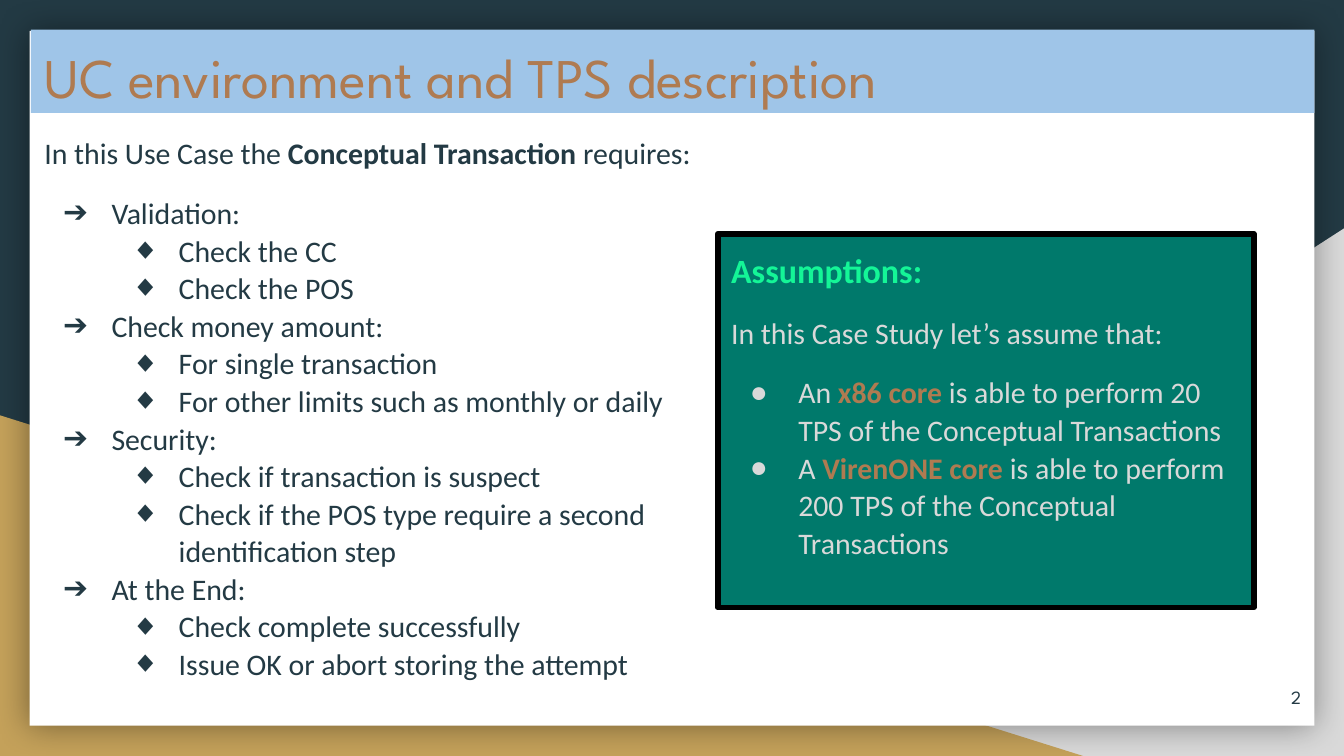
from lxml import etree
from pptx import Presentation, util as u
from pptx.dml.color import RGBColor
from pptx.enum import shapes, text
from pptx.oxml.ns import qn

COLUMNS, ROWS = 100, 56.25
INK, GOLD, GREY, BROWN = "233A44", "C4A15A", "D9D9D9", "AF7B51"
TITLE_FONT, BODY_FONT = "League Spartan", "Calibri"


def rgb(value):
    return RGBColor.from_string(value)


def add_xml(parent, tag, **attributes):
    return etree.SubElement(parent, qn(tag), attributes)


class SlideBuilder:
    """Holds the style and the current slide; places are in grid columns and rows."""

    def __init__(self, presentation):
        presentation.slide_width, presentation.slide_height = u.Inches(10), u.Inches(5.625)
        self.cell_width = presentation.slide_width / COLUMNS
        self.cell_height = presentation.slide_height / ROWS
        self.slide = presentation.slides.add_slide(presentation.slide_layouts[3])
        self.slide.background.fill.solid()
        self.slide.background.fill.fore_color.rgb = rgb(INK)

    def box(self, left, top, width, height):
        return [u.Emu(round(value)) for value in (
            left * self.cell_width, top * self.cell_height,
            width * self.cell_width, height * self.cell_height)]

    def paint(self, shape, color):
        shape.fill.solid()
        shape.fill.fore_color.rgb = rgb(color)

    def backdrop(self, kind, place, color, flip=False, glow=False):
        shape = self.slide.shapes.add_shape(kind, *self.box(*place))
        shape.shadow.inherit = False
        self.paint(shape, color)
        shape.line.fill.background()
        if flip:
            shape.element.spPr.find(qn("a:xfrm")).set("flipH", "1")
        if glow:
            effects = shape.element.spPr.find(qn("a:effectLst"))
            shadow = add_xml(effects, "a:outerShdw", blurRad=str(u.Pt(18)), dist="0",
                             dir="0", algn="ctr", rotWithShape="0")
            black = add_xml(shadow, "a:srgbClr", val="000000")
            add_xml(black, "a:alpha", val="40000")

    def frame(self, shape, anchor=text.MSO_ANCHOR.TOP):
        frame = shape.text_frame
        frame.word_wrap = True
        frame.auto_size = text.MSO_AUTO_SIZE.NONE
        frame.vertical_anchor = anchor
        frame.margin_left = frame.margin_right = u.Inches(0.1)
        frame.margin_top = frame.margin_bottom = u.Inches(0.1)
        return frame

    def placeholder(self, index, place):
        """Move a template placeholder to its place, in front of what is drawn so far."""
        shape = self.slide.placeholders[index]
        shape.left, shape.top, shape.width, shape.height = self.box(*place)
        shape.element.getparent().append(shape.element)
        return shape

    def run(self, paragraph, words, size, color, font=BODY_FONT, bold=False):
        run = paragraph.add_run()
        run.text = words
        run.font.size, run.font.name, run.font.bold = u.Pt(size), font, bold
        run.font.color.rgb = rgb(color)

    def title(self, words, place, fill):
        shape = self.placeholder(0, place)
        self.paint(shape, fill)
        paragraph = self.frame(shape).paragraphs[0]
        paragraph.alignment = text.PP_ALIGN.LEFT
        self.run(paragraph, words, 30, BROWN, TITLE_FONT)

    def body(self, index, place, lines, color, accent):
        """Write lines of (bullet, level, space before, size, words); **words** are accented."""
        shape = self.placeholder(index, place)
        frame = self.frame(shape)
        for number, (bullet, level, before, size, words) in enumerate(lines):
            paragraph = frame.add_paragraph() if number else frame.paragraphs[0]
            paragraph.level = level
            paragraph.alignment = text.PP_ALIGN.LEFT
            paragraph.line_spacing = 1.05
            paragraph.space_before, paragraph.space_after = u.Pt(before), u.Pt(0)
            properties = paragraph._p.get_or_add_pPr()
            properties.set("marL", str(u.Inches(0.5 * (level + 1)) if bullet else 0))
            properties.set("indent", str(u.Inches(-0.36) if bullet else 0))
            if bullet:
                add_xml(add_xml(properties, "a:buClr"), "a:srgbClr", val=color)
                add_xml(properties, "a:buChar", char=bullet)
            else:
                add_xml(properties, "a:buNone")
            for part, piece in enumerate(words.split("**")):
                if piece:
                    strong = part % 2 == 1
                    self.run(paragraph, piece, size, accent if strong else color, bold=strong)
        return shape

    def page_number(self, words, place):
        shape = self.slide.shapes.add_textbox(*self.box(*place))
        paragraph = self.frame(shape, text.MSO_ANCHOR.MIDDLE).paragraphs[0]
        paragraph.alignment = text.PP_ALIGN.RIGHT
        self.run(paragraph, words, 10, INK, TITLE_FONT)


REQUIREMENTS = {
    "Validation:": ["Check the CC", "Check the POS"],
    "Check money amount:": ["For single transaction",
                            "For other limits such as monthly or daily"],
    "Security:": ["Check if transaction is suspect",
                  "Check if the POS type require a second identification step"],
    "At the End:": ["Check complete successfully",
                    "Issue OK or abort storing the attempt"],
}
ASSUMPTIONS = [
    ("", 0, 0, 18.2, "**Assumptions:**"),
    ("", 0, 12, 16, "In this Case Study let’s assume that:"),
    ("●", 0, 12, 16, "An **x86 core** is able to perform 20 TPS of the Conceptual Transactions"),
    ("●", 0, 0, 16,
     "A **VirenONE core** is able to perform 200 TPS of the Conceptual Transactions"),
]


def requirement_lines():
    yield "", 0, 0, 16, "In this Use Case the **Conceptual Transaction** requires:"
    for number, (heading, checks) in enumerate(REQUIREMENTS.items()):
        yield "➔", 0, 0 if number else 12, 16, heading
        for check in checks:
            yield "◆", 1, 0, 16, check


def main():
    presentation = Presentation()
    builder = SlideBuilder(presentation)
    triangle, rectangle = shapes.MSO_SHAPE.RIGHT_TRIANGLE, shapes.MSO_SHAPE.RECTANGLE
    builder.backdrop(triangle, (39.2, 17, 60.8, 39.25), GREY, flip=True)
    builder.backdrop(triangle, (0, 30.9, 80.6, 25.35), GOLD)
    builder.backdrop(rectangle, (2.2, 2.3, 95.6, 51.7), "FFFFFF", glow=True)

    builder.title("UC environment and TPS description", (2.3, 2.2, 95.5, 6.2), "9FC5E8")
    builder.body(1, (2.3, 8.9, 53.8, 44.8), requirement_lines(), INK, INK)
    panel = builder.body(2, (53.4, 17.4, 39.9, 27.8), ASSUMPTIONS, GREY, BROWN)
    builder.paint(panel, "00796B")
    panel.line.color.rgb, panel.line.width = rgb("000000"), u.Pt(3)
    heading = panel.text_frame.paragraphs[0].runs[0]
    heading.font.color.rgb = rgb("14F597")
    builder.page_number("2", (91.8, 49.7, 6, 4.3))
    presentation.save("out.pptx")


if __name__ == "__main__":
    main()
